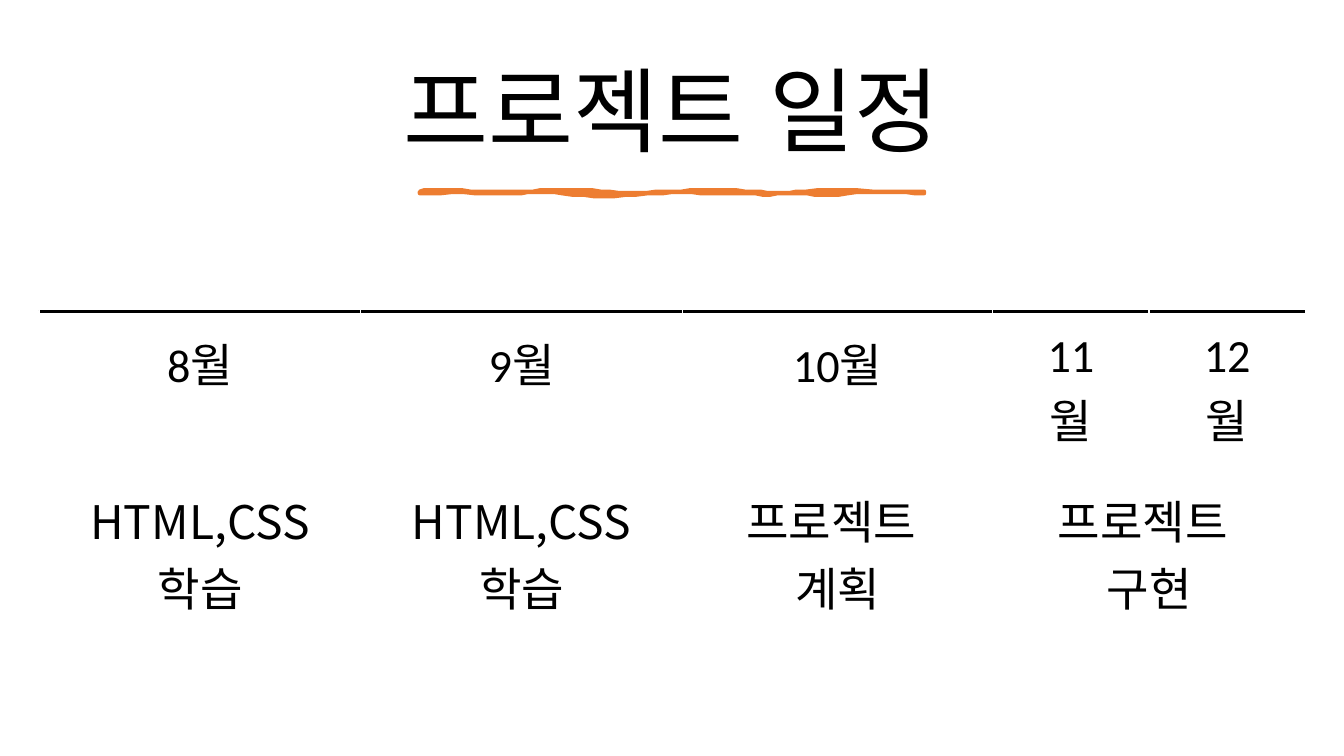
from lxml import etree
from pptx import Presentation
from pptx import util as u
from pptx.dml.color import RGBColor
from pptx.enum import lang, text
from pptx.oxml import ns

HEADINGS = ["8월", "9월", "10월", "11월", "12월"]
TASKS = ["HTML,CSS\n학습", "HTML,CSS\n학습", "프로젝트 \n계획", "프로젝트 \n구현"]
COLUMN_WIDTHS = [229.7, 229.7, 221.8, 111.6, 111.6]
ROW_HEIGHTS = [106.5, 146.2]
UPPER_EDGE = [
    (300, 136.8), (308, 134.6), (327, 136.8), (341, 136.8),
    (354, 136.1), (368, 137.5), (381, 136.8),
    (395, 135.4), (413, 135.4), (429, 136.8),
    (444, 138.2), (470, 138.2), (487, 136.8),
    (505, 135.4), (514, 135.4), (532, 136.8),
    (549, 137.5), (557, 139), (576, 136.8),
    (595, 134.6), (624, 138.2), (660, 136.8),
]
LOWER_EDGE = [
    (660, 138.2), (644, 136.8), (623, 135.4), (605, 138.2),
    (587, 140.4), (577, 136.8), (561, 138.2),
    (544, 139), (538, 138.2), (516, 138.2),
    (495, 138.2), (480, 135.4), (462, 138.2),
    (442, 140.4), (421, 140.4), (402, 138.2),
    (384, 135.4), (377, 138.2), (362, 138.2),
    (348, 137.5), (315, 136.8), (300, 138.2),
]


def color(value):
    return RGBColor.from_string(value)


def curve_points(controls, steps=8):
    points = [controls[0]]
    for start in range(0, len(controls) - 1, 3):
        bend = controls[start:start + 4]
        for step in range(1, steps + 1):
            t = step / steps
            weights = [(1 - t) ** 3, 3 * t * (1 - t) ** 2, 3 * t * t * (1 - t), t ** 3]
            points.append(tuple(sum(w * p[axis] for w, p in zip(weights, bend)) for axis in (0, 1)))
    return points


class Page:
    ink = "000000"
    accent = "ED7D31"
    latin = "Calibri"
    korean = "Noto Sans CJK KR"

    def __init__(self, slide):
        self.slide = slide

    def style(self, para, size, font):
        para.alignment = text.PP_ALIGN.CENTER
        for span in para.runs:
            span.font.size = u.Pt(size)
            span.font.name = font
            span.font.bold = False
            span.font.color.rgb = color(self.ink)
            span.font.language_id = lang.MSO_LANGUAGE_ID.KOREAN
            east_asian = etree.Element(ns.qn("a:ea"), typeface=self.korean)
            span.font._element.find(ns.qn("a:latin")).addnext(east_asian)

    def title(self, words, left, top, width, height):
        box = self.slide.shapes.title
        box.left, box.top, box.width, box.height = map(u.Pt, (left, top, width, height))
        frame = box.text_frame
        frame.text = words
        frame.word_wrap = True
        frame.auto_size = text.MSO_AUTO_SIZE.NONE
        frame.vertical_anchor = text.MSO_ANCHOR.MIDDLE
        frame.paragraphs[0].line_spacing = 0.9
        self.style(frame.paragraphs[0], 66, self.latin)

    def brush_stroke(self, upper, lower, weight):
        points = curve_points(upper) + curve_points(lower)
        builder = self.slide.shapes.build_freeform(*points[0], scale=u.Pt(1))
        builder.add_line_segments(points[1:], close=True)
        stroke = builder.convert_to_shape()
        stroke.shadow.inherit = False
        stroke.fill.solid()
        stroke.fill.fore_color.rgb = color(self.accent)
        stroke.line.color.rgb = color(self.accent)
        stroke.line.width = u.Pt(weight)
        etree.SubElement(stroke.line._get_or_add_ln(), ns.qn("a:round"))

    def top_border(self, cell, weight):
        border = etree.Element(ns.qn("a:lnT"), w=str(u.Pt(weight)))
        fill = etree.SubElement(border, ns.qn("a:solidFill"))
        etree.SubElement(fill, ns.qn("a:srgbClr"), val=self.ink)
        cell._tc.get_or_add_tcPr().insert(0, border)

    def cell(self, cell, words, font):
        cell.fill.background()
        cell.margin_left = cell.margin_right = u.Pt(31)
        cell.margin_top = cell.margin_bottom = u.Pt(12.2)
        cell.text_frame.text = words
        for para in cell.text_frame.paragraphs:
            self.style(para, 33, font)

    def schedule(self, headings, tasks, left, top):
        size = map(u.Pt, (left, top, sum(COLUMN_WIDTHS), sum(ROW_HEIGHTS)))
        table = self.slide.shapes.add_table(2, len(headings), *size).table
        table.first_row = table.horz_banding = False
        for column, width in zip(table.columns, COLUMN_WIDTHS):
            column.width = u.Pt(width)
        for row, height in zip(table.rows, ROW_HEIGHTS):
            row.height = u.Pt(height)
        table.cell(1, 3).merge(table.cell(1, 4))
        for index, words in enumerate(headings):
            self.cell(table.cell(0, index), words, self.latin)
            self.top_border(table.cell(0, index), 2.25)
        for index, words in enumerate(tasks):
            self.cell(table.cell(1, index), words, self.korean)
        table.cell(1, 4).fill.background()


def main():
    deck = Presentation()
    deck.slide_width, deck.slide_height = u.Pt(960), u.Pt(540)
    page = Page(deck.slides.add_slide(deck.slide_layouts[5]))
    page.title("프로젝트 일정", 50.4, 33, 859, 98.6)
    page.brush_stroke(UPPER_EDGE, LOWER_EDGE, 3.25)
    page.schedule(HEADINGS, TASKS, 28, 222.5)
    deck.save("out.pptx")


if __name__ == "__main__":
    main()
